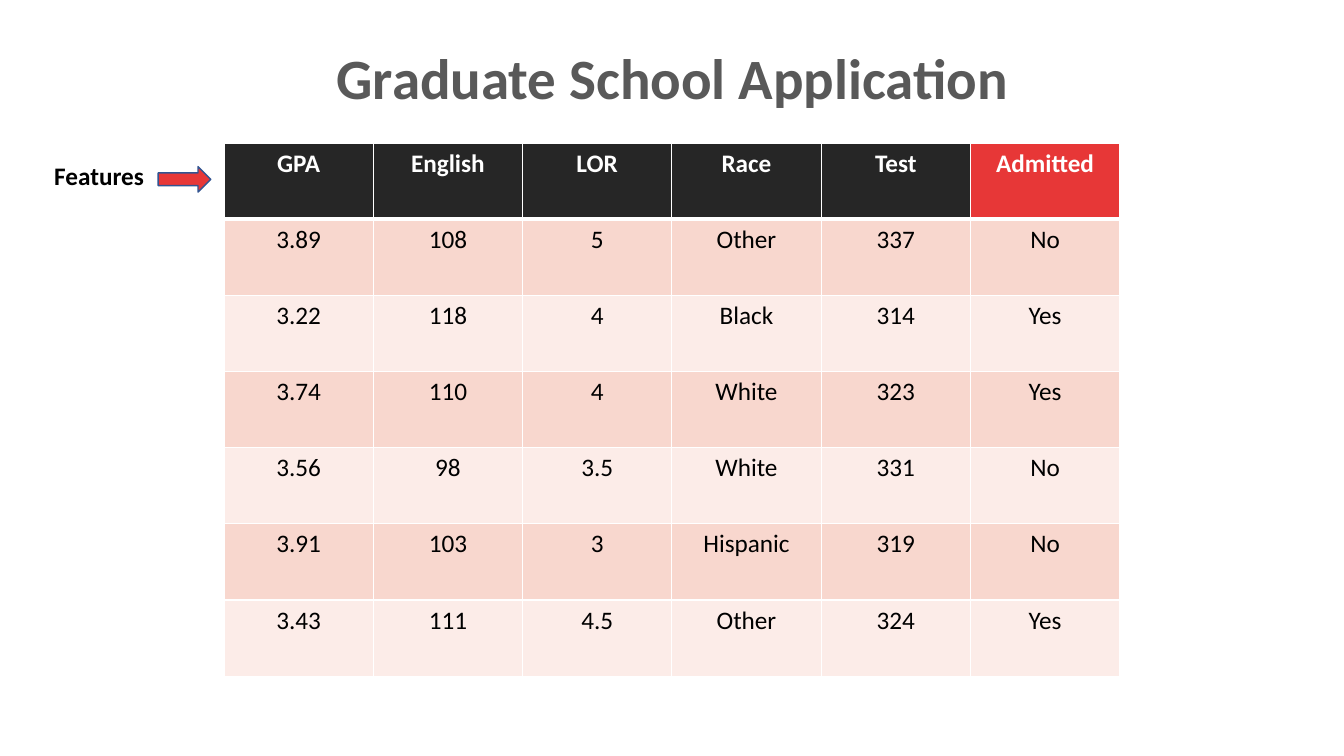
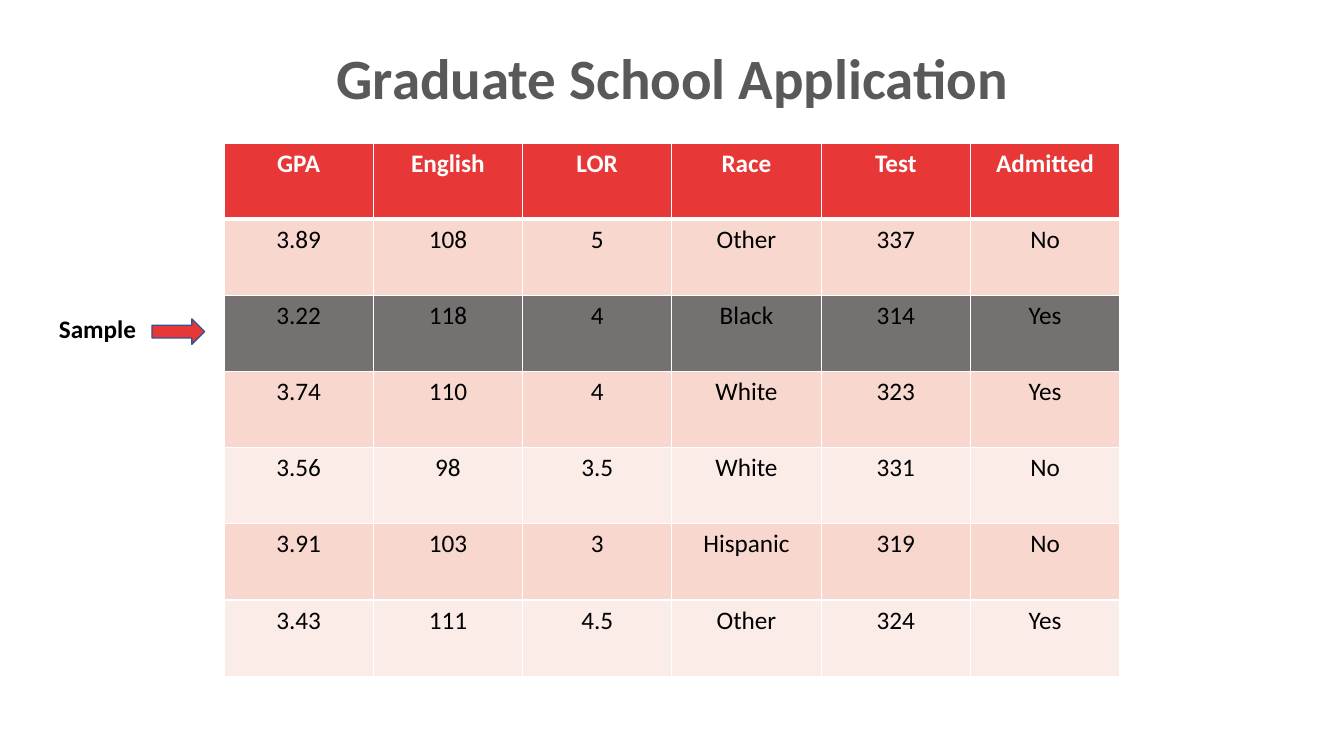
from dataclasses import dataclass

from lxml import etree
from pptx import Presentation
from pptx.dml.color import RGBColor
from pptx.enum import shapes, text
from pptx.oxml import ns
from pptx.util import Pt

FONT = "Calibri"
WHITE = RGBColor(0xFF, 0xFF, 0xFF)
BLACK = RGBColor(0, 0, 0)
DARK = RGBColor(0x26, 0x26, 0x26)
GREY = RGBColor(0x59, 0x59, 0x59)
STONE = RGBColor(0x76, 0x71, 0x71)
RED = RGBColor(0xE7, 0x37, 0x37)
ROSE = RGBColor(0xF8, 0xD7, 0xCE)
BLUSH = RGBColor(0xFC, 0xEC, 0xE8)
BLUE = RGBColor(0x32, 0x54, 0x91)

TITLE = "Graduate School Application"
ROWS = (
    ("GPA", "English", "LOR", "Race", "Test", "Admitted"),
    ("3.89", "108", "5", "Other", "337", "No"),
    ("3.22", "118", "4", "Black", "314", "Yes"),
    ("3.74", "110", "4", "White", "323", "Yes"),
    ("3.56", "98", "3.5", "White", "331", "No"),
    ("3.91", "103", "3", "Hispanic", "319", "No"),
    ("3.43", "111", "4.5", "Other", "324", "Yes"),
)
LEFT, TOP, WIDTH, HEIGHT = 160, 102.2, 640, 54.4


@dataclass(frozen=True)
class Pointer:
    label: str
    row: int
    left: float
    arrow: float


@dataclass(frozen=True)
class Page:
    pointer: Pointer
    head: RGBColor
    sample: int | None = None


PAGES = (
    Page(Pointer("Features", 0, 31.7, 113), DARK),
    Page(Pointer("Sample", 2, 35, 108.6), RED, 2),
)


def style(para, size: float, color: RGBColor, bold: bool = True) -> None:
    for run in para.runs:
        run.font.name = FONT
        run.font.size = Pt(size)
        run.font.bold = bold
        run.font.color.rgb = color


def add_title(slide) -> None:
    title = slide.shapes.title
    title.left, title.top = Pt(227.5), Pt(14.4)
    title.width, title.height = Pt(505.5), Pt(86.4)
    frame = title.text_frame
    frame.text = TITLE
    frame.word_wrap = True
    frame.auto_size = text.MSO_AUTO_SIZE.NONE
    frame.vertical_anchor = text.MSO_ANCHOR.MIDDLE
    para = frame.paragraphs[0]
    para.alignment = text.PP_ALIGN.CENTER
    para.line_spacing = 0.9
    style(para, 40.7, GREY)


def add_edge(cell, side: str, width: float) -> None:
    props = cell._tc.get_or_add_tcPr()
    line = etree.SubElement(props, ns.qn(f"a:ln{side}"), w=str(Pt(width)))
    fill = etree.SubElement(line, ns.qn("a:solidFill"))
    etree.SubElement(fill, ns.qn("a:srgbClr"), val=str(WHITE))


def pick_fill(page: Page, row: int, col: int) -> RGBColor:
    if row == 0:
        return RED if col == len(ROWS[0]) - 1 else page.head
    if row == page.sample:
        return STONE
    return ROSE if row % 2 else BLUSH


def add_grid(slide, page: Page) -> None:
    count = len(ROWS[0])
    table = slide.shapes.add_table(
        len(ROWS), count, Pt(LEFT), Pt(TOP), Pt(WIDTH), Pt(HEIGHT * len(ROWS))
    ).table
    for col in table.columns:
        col.width = Pt(WIDTH / count)
    for row, values in enumerate(ROWS):
        table.rows[row].height = Pt(HEIGHT)
        for col, value in enumerate(values):
            cell = table.cell(row, col)
            cell.text_frame.text = value
            para = cell.text_frame.paragraphs[0]
            para.alignment = text.PP_ALIGN.CENTER
            style(para, 18, BLACK if row else WHITE, row == 0)
            for side in "LRTB":
                thick = (row, side) in ((0, "B"), (1, "T"))
                add_edge(cell, side, 3 if thick else 1)
            cell.fill.solid()
            cell.fill.fore_color.rgb = pick_fill(page, row, col)


def add_pointer(slide, mark: Pointer) -> None:
    top = TOP + HEIGHT * mark.row
    box = slide.shapes.add_textbox(Pt(mark.left), Pt(top + 8.9), Pt(80), Pt(29))
    box.text_frame.word_wrap = True
    box.text_frame.text = mark.label
    style(box.text_frame.paragraphs[0], 18, BLACK)
    arrow = slide.shapes.add_shape(
        shapes.MSO_SHAPE.RIGHT_ARROW, Pt(mark.arrow), Pt(top + 16.8), Pt(37.6), Pt(18.2)
    )
    arrow.shadow.inherit = False
    arrow.fill.solid()
    arrow.fill.fore_color.rgb = RED
    arrow.line.color.rgb = BLUE
    arrow.line.width = Pt(1)


def main() -> None:
    deck = Presentation()
    deck.slide_width, deck.slide_height = Pt(960), Pt(540)
    for page in PAGES:
        slide = deck.slides.add_slide(deck.slide_layouts[5])
        add_title(slide)
        add_grid(slide, page)
        add_pointer(slide, page.pointer)
    deck.save("out.pptx")


if __name__ == "__main__":
    main()
